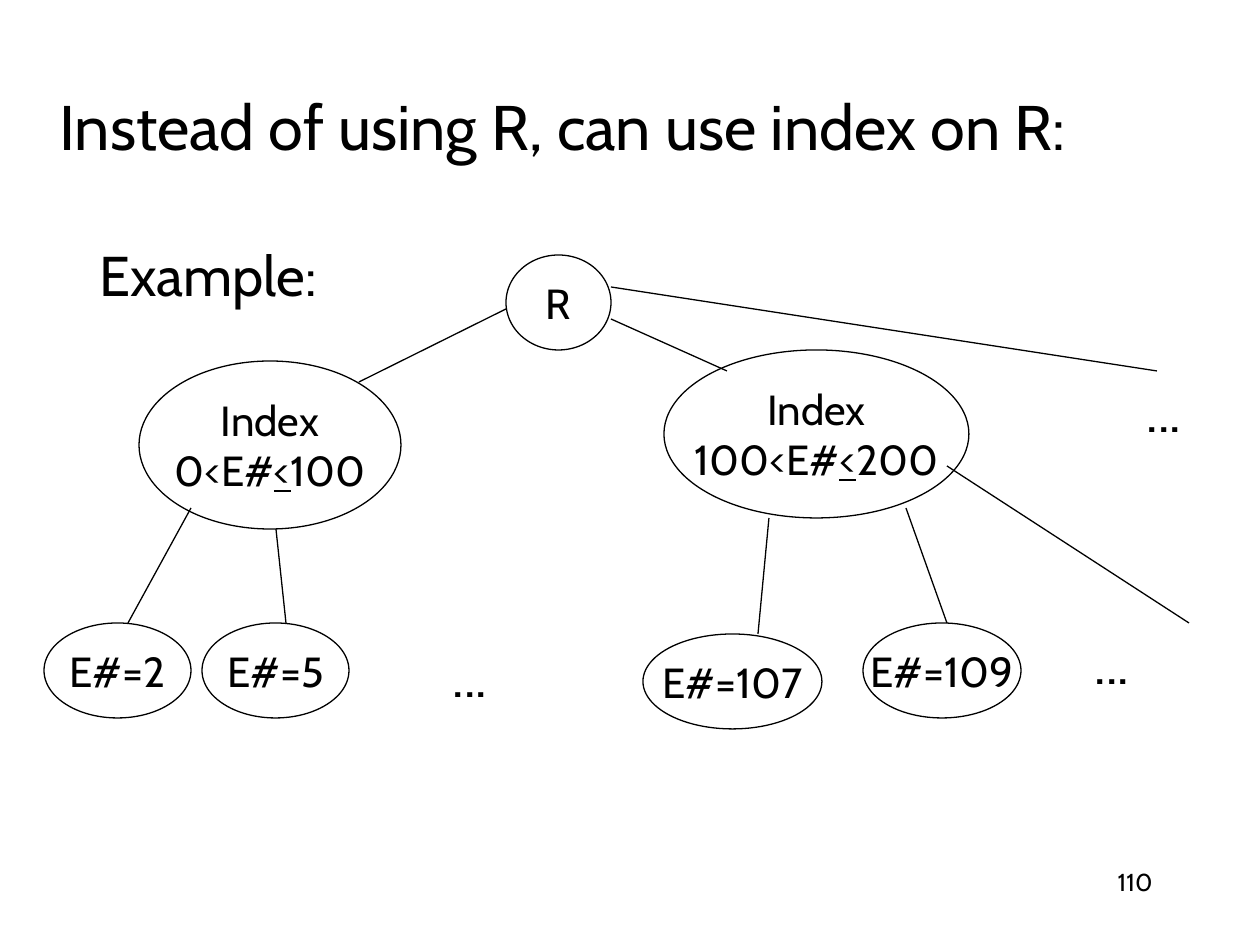
"""Build a slide showing an index tree on relation R."""
import pptx
import pptx.dml.color
import pptx.enum.shapes
import pptx.enum.text
import pptx.oxml.ns
import pptx.util
from lxml import etree

PX = 914400 // 126
COLORS = {"ink": "000000", "paper": "FFFFFF"}
FONT = "Cabin"
ALIGN = pptx.enum.text.PP_ALIGN
ANCHOR = pptx.enum.text.MSO_ANCHOR

NODES = [
    ((506, 255, 105, 95), [["R"]]),
    ((139, 361, 262, 168), [["Index"], ["0<E#", "<", "100"]]),
    ((664, 350, 305, 168), [["Index"], ["100<E#", "<", "200"]]),
    ((44, 623, 147, 95), [["E#=2"]]),
    ((202, 623, 147, 95), [["E#=5"]]),
    ((643, 634, 179, 95), [["E#=107"]]),
    ((863, 623, 158, 95), [["E#=109"]]),
]
BRANCHES = [
    (191, 508, 128, 623),
    (276, 529, 286, 623),
    (769, 518, 758, 634),
    (906, 508, 947, 623),
    (947, 466, 1189, 623),
    (506, 309, 359, 382),
    (611, 319, 727, 371),
    (611, 287, 1157, 371),
]
ELLIPSES = [(435, 635), (1129, 370), (1077, 622)]


def px(*lengths):
    """Turn pixel lengths into EMU."""
    return [length * PX for length in lengths]


def color(name):
    """Look up a named colour."""
    return pptx.dml.color.RGBColor.from_string(COLORS[name])


def format_run(run, size):
    """Give a run the slide's font, size and colour."""
    run.font.name = FONT
    run.font.size = pptx.util.Pt(size)
    run.font.color.rgb = color("ink")


def add_text(page, area, text, size, align=ALIGN.LEFT, anchor=ANCHOR.TOP, wrap=True):
    """Add a text box with one paragraph."""
    frame = page.shapes.add_textbox(*px(*area)).text_frame
    frame.word_wrap = wrap
    frame.vertical_anchor = anchor
    frame.text = text
    para = frame.paragraphs[0]
    para.alignment = align
    format_run(para.runs[0], size)


def add_node(page, area, lines):
    """Add an oval whose second run in a line is underlined."""
    oval = page.shapes.add_shape(pptx.enum.shapes.MSO_SHAPE.OVAL, *px(*area))
    oval.shadow.inherit = False
    oval.fill.solid()
    oval.fill.fore_color.rgb = color("paper")
    oval.line.color.rgb = color("ink")
    oval.line.width = pptx.util.Pt(0.75)
    frame = oval.text_frame
    frame.word_wrap = False
    frame.vertical_anchor = ANCHOR.MIDDLE
    for index, pieces in enumerate(lines):
        para = frame.add_paragraph() if index else frame.paragraphs[0]
        para.alignment = ALIGN.CENTER
        for position, piece in enumerate(pieces):
            run = para.add_run()
            run.text = piece
            format_run(run, 24)
            if position == 1:
                run.font.underline = True


def add_branch(page, ends):
    """Add a thin straight line between two points."""
    straight = pptx.enum.shapes.MSO_CONNECTOR.STRAIGHT
    branch = page.shapes.add_connector(straight, *px(*ends))
    branch.line.color.rgb = color("ink")
    branch.line.width = pptx.util.Pt(0.75)
    etree.SubElement(branch._element.spPr, pptx.oxml.ns.qn("a:effectLst"))


def main():
    """Build and save the slide."""
    deck = pptx.Presentation()
    deck.slide_width, deck.slide_height = px(1260, 945)
    page = deck.slides.add_slide(deck.slide_layouts[6])
    add_text(page, (903, 861, 262, 63), "110", 14, ALIGN.RIGHT)
    add_text(page, (47, 47, 1152, 157), "Instead of using R, can use index on R:", 36,
             anchor=ANCHOR.MIDDLE)
    add_text(page, (87, 234, 1071, 567), "Example:", 32)
    for area, lines in NODES:
        add_node(page, area, lines)
    for ends in BRANCHES:
        add_branch(page, ends)
    for left, top in ELLIPSES:
        add_text(page, (left, top, 70, 81), "...", 32, ALIGN.CENTER, ANCHOR.MIDDLE, False)
    deck.save("out.pptx")


if __name__ == "__main__":
    main()
